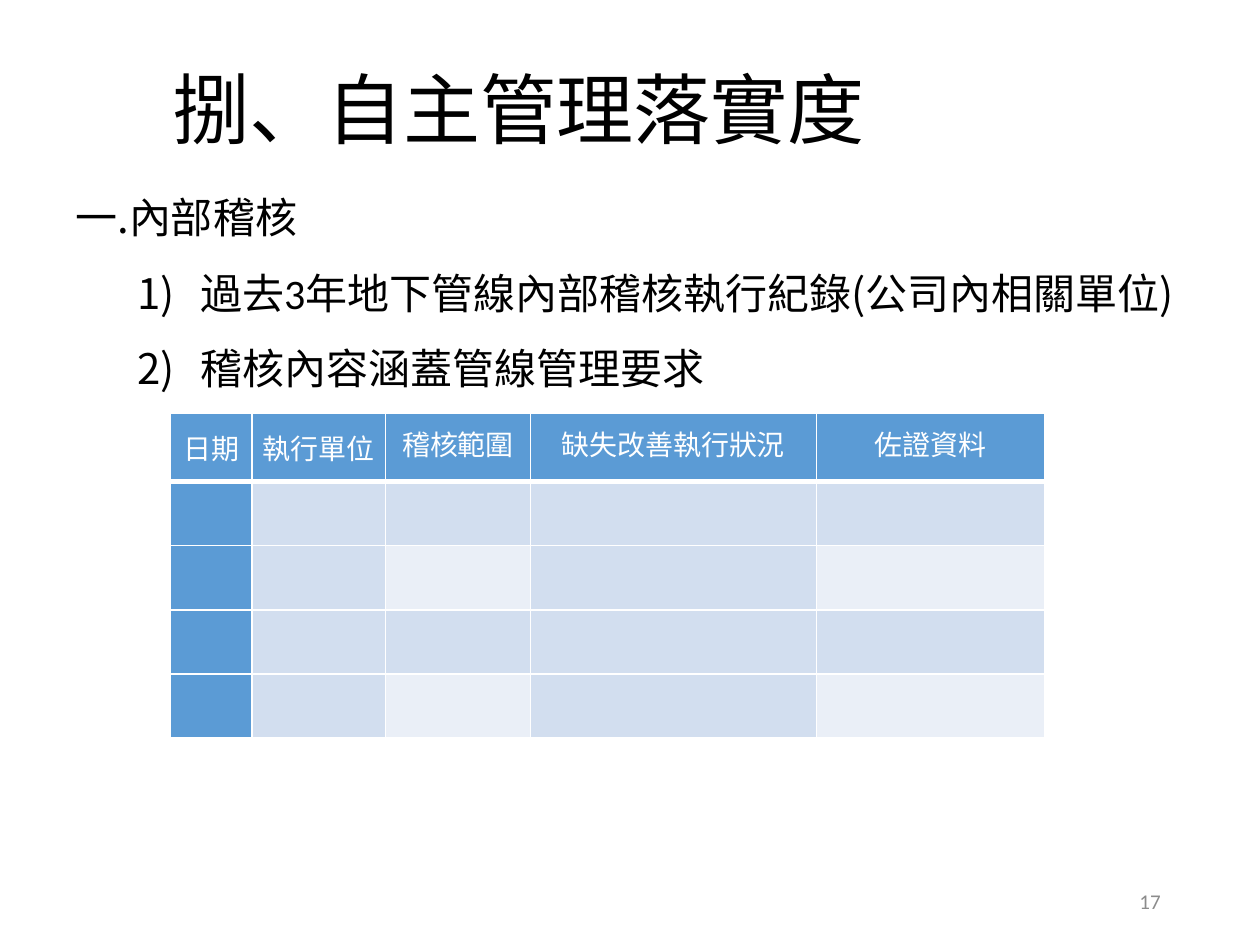
from dataclasses import dataclass

from lxml import etree
from pptx import Presentation
from pptx import util as u
from pptx.dml.color import RGBColor
from pptx.enum import text
from pptx.oxml import ns

CJK, LATIN = "Noto Sans CJK SC", "Calibri"
COLORS = {"ink": "000000", "grey": "8C8C8C", "white": "FFFFFF",
          "head": "5B9BD5", "band": "D2DEEF", "light": "EAEFF7"}


@dataclass
class Box:
    left: float
    top: float
    width: float
    height: float


@dataclass
class Line:
    wordings: list[tuple[str, str]]  # (wording, font)
    numbered: bool = False


def style(r, size: float, color: str, font: str = CJK) -> None:
    r.font.size = u.Pt(size)
    r.font.color.rgb = RGBColor.from_string(COLORS[color])
    r.font.name = font
    ea = etree.SubElement(r.font._element, ns.qn("a:ea"))
    ea.set("typeface", font)


def add_text(s, box: Box, lines: list[Line], size: float, color: str = "ink",
             spacing: float = 1.0, align=text.PP_ALIGN.LEFT):
    sp = s.shapes.add_textbox(*map(u.Inches, (box.left, box.top, box.width, box.height)))
    tf = sp.text_frame
    tf.word_wrap = True
    tf.vertical_anchor = text.MSO_ANCHOR.MIDDLE
    for i, line in enumerate(lines):
        p = tf.add_paragraph() if i else tf.paragraphs[0]
        p.line_spacing, p.alignment = spacing, align
        if line.numbered:
            pPr = p._p.get_or_add_pPr()
            pPr.set("marL", str(u.Inches(0.99)))
            pPr.set("indent", str(u.Inches(-0.5)))
            bullet_font = etree.SubElement(pPr, ns.qn("a:buFont"))
            bullet_font.set("typeface", CJK)
            number = etree.SubElement(pPr, ns.qn("a:buAutoNum"))
            number.set("type", "arabicParenR")
        for wording, font in line.wordings:
            r = p.add_run()
            r.text = wording
            style(r, size, color, font)
    return tf


def style_cell(cell, fill: str, bottom: float) -> None:
    tcPr = cell._tc.get_or_add_tcPr()
    for tag, width in (("lnL", 1), ("lnR", 1), ("lnT", 1), ("lnB", bottom)):
        ln = etree.SubElement(tcPr, ns.qn(f"a:{tag}"))
        ln.set("w", str(u.Pt(width)))
        solid = etree.SubElement(ln, ns.qn("a:solidFill"))
        etree.SubElement(solid, ns.qn("a:srgbClr")).set("val", COLORS["white"])
    cell.fill.solid()
    cell.fill.fore_color.rgb = RGBColor.from_string(COLORS[fill])
    cell.margin_left = cell.margin_right = u.Inches(0.07)
    cell.margin_top = cell.margin_bottom = 0
    cell.vertical_anchor = text.MSO_ANCHOR.MIDDLE


def cell_fill(row: int, col: int) -> str:
    if row == 0 or col == 0:
        return "head"
    return "light" if row % 2 == 0 and col in (2, 4) else "band"


def add_audit_table(s, box: Box, headers: list[str], widths: list[float],
                    heights: list[float]) -> None:
    table = s.shapes.add_table(len(heights), len(widths), *map(
        u.Inches, (box.left, box.top, box.width, box.height))).table
    for col, width in zip(table.columns, widths):
        col.width = u.Inches(width)
    for row, height in zip(table.rows, heights):
        row.height = u.Inches(height)
    for i in range(len(heights)):
        for j in range(len(widths)):
            style_cell(table.cell(i, j), cell_fill(i, j), 1 if i else 3)
    for j, header in enumerate(headers):
        p = table.cell(0, j).text_frame.paragraphs[0]
        p.text = header
        p.alignment = text.PP_ALIGN.CENTER
        if j >= 2:
            p.line_spacing = u.Pt(18)
        style(p.runs[0], 16, "white")


def main() -> None:
    prs = Presentation()
    prs.slide_width, prs.slide_height = u.Inches(10), u.Inches(7.5)
    s = prs.slides.add_slide(prs.slide_layouts[6])

    # Page number
    add_text(s, Box(7.06, 6.95, 2.25, 0.4), [Line([("17", LATIN)])], 12, "grey",
             align=text.PP_ALIGN.RIGHT)

    # Title
    tf = add_text(s, Box(1.37, 0.57, 7.63, 0.67),
                  [Line([("捌、自主管理落實度", CJK)])], 44, spacing=0.9)
    tf.margin_left = tf.margin_right = tf.margin_top = tf.margin_bottom = 0
    tf.paragraphs[0].runs[0].font._element.set("spc", "-10")

    # Audit record table
    add_audit_table(s, Box(1.35, 3.28, 6.94, 2.58),
                    ["日期", "執行單位", "稽核範圍", "缺失改善執行狀況", "佐證資料"],
                    [0.65, 1.06, 1.15, 2.27, 1.81], [0.54] + [0.51] * 4)

    # Section heading and numbered points
    add_text(s, Box(0.5, 1.26, 9.33, 1.92), [
        Line([("一.內部稽核", CJK)]),
        Line([("過去", CJK), ("3", LATIN),
              ("年地下管線內部稽核執行紀錄(公司內相關單位)", CJK)], numbered=True),
        Line([("稽核內容涵蓋管線管理要求", CJK)], numbered=True),
    ], 24, spacing=1.5)

    prs.save("out.pptx")


if __name__ == "__main__":
    main()
